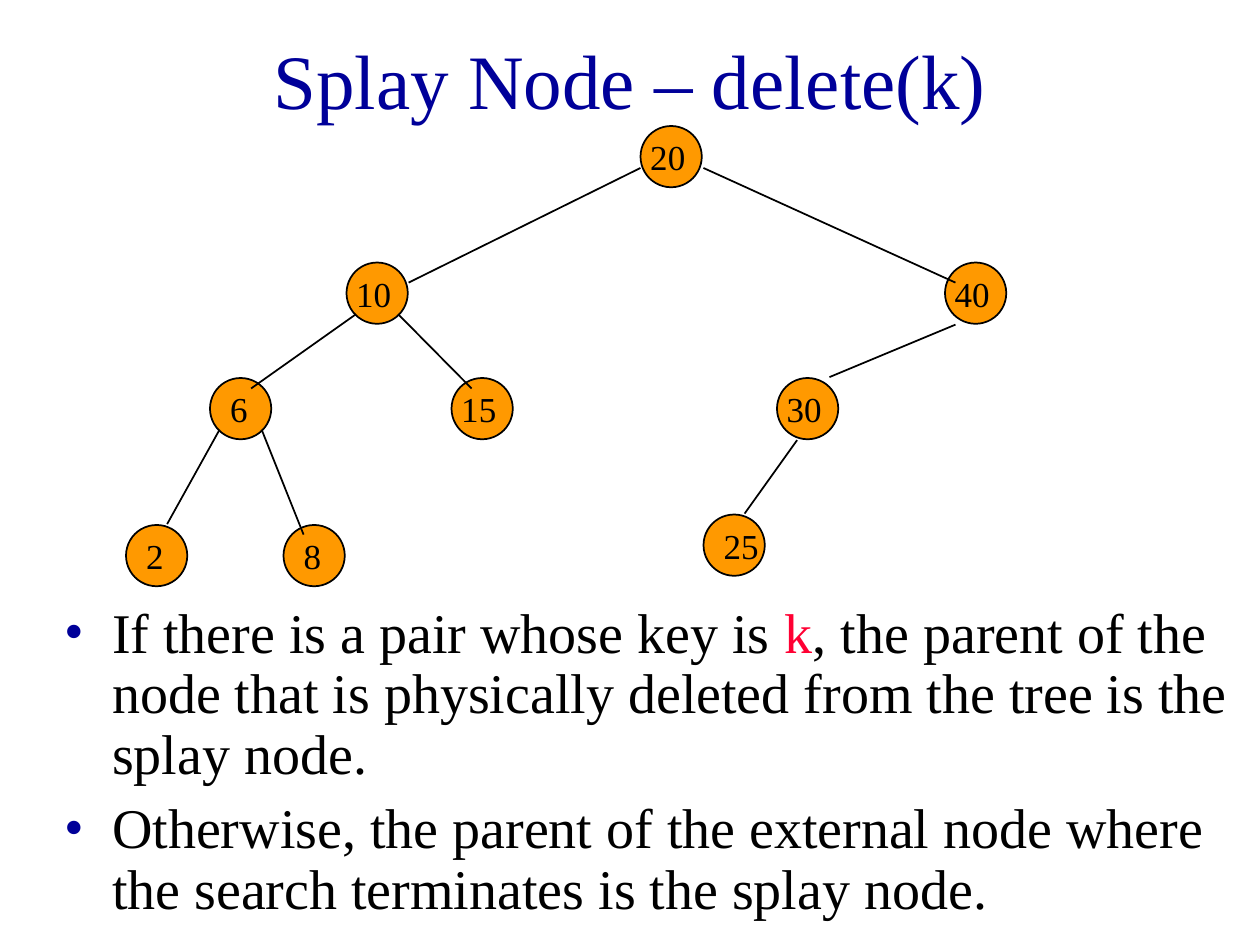
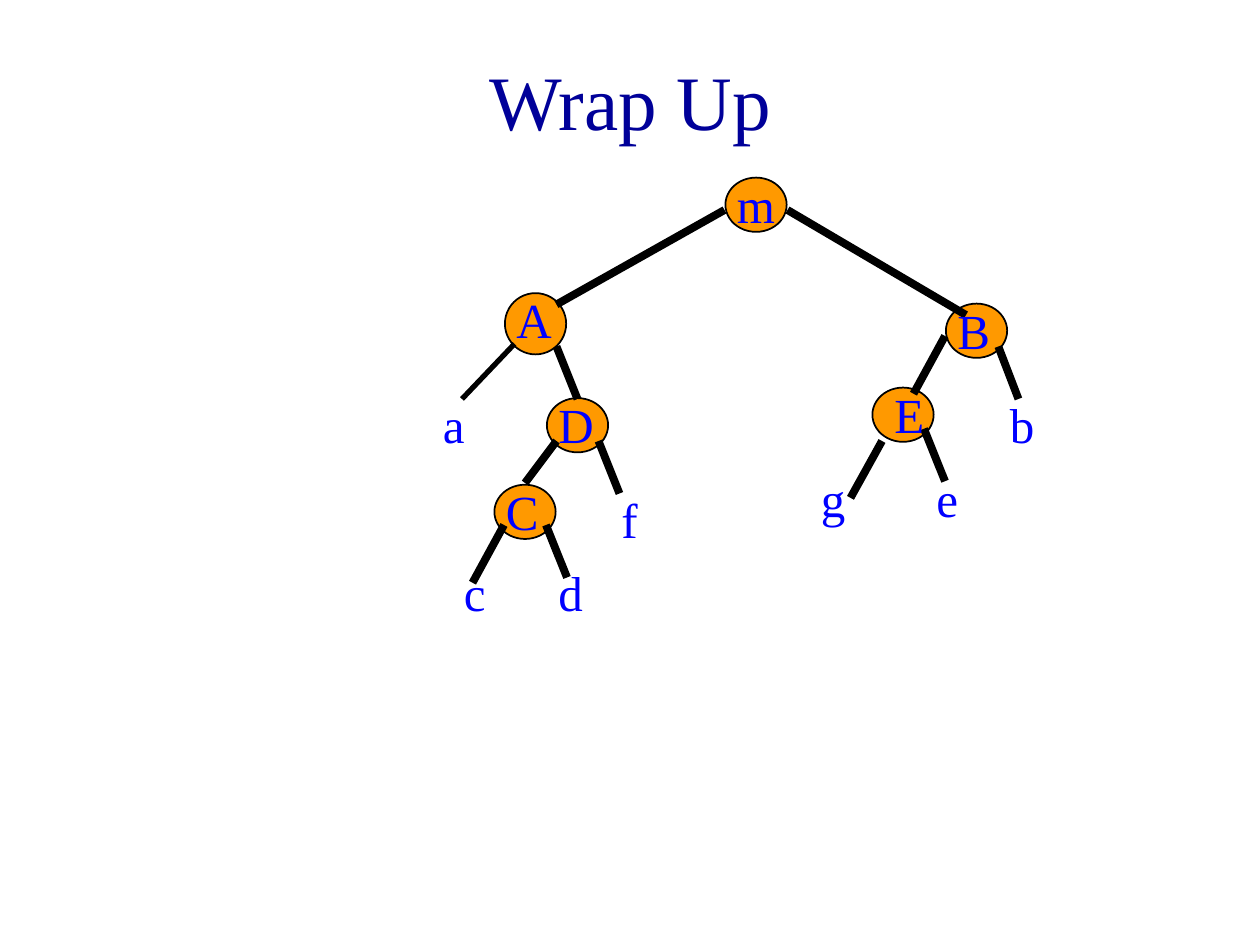
import dataclasses

import lxml.etree
import pptx
import pptx.dml.color
import pptx.enum.shapes
import pptx.enum.text
import pptx.oxml.ns
import pptx.util

Pt = pptx.util.Pt
qn = pptx.oxml.ns.qn


@dataclasses.dataclass(frozen=True)
class Theme:
    font: str = "Times New Roman"
    navy: str = "000099"
    black: str = "000000"
    red: str = "FF0033"
    blue: str = "0000FF"
    gold: str = "FF9900"
    title: int = 44
    body: int = 32
    key: int = 20
    name: int = 28


@dataclasses.dataclass(frozen=True)
class Look:
    size: int
    color: str
    edge: float
    dot: tuple
    tag: tuple


THEME = Theme()
KEYS = Look(THEME.key, THEME.black, 1, (0, 0), (-1.5, 2))
NAMES = Look(THEME.name, THEME.blue, 4.5, (0.5, 5.5), (0, 0))
WIDE, TALL, FLAT, LEAF = 35, 35, 31, 0
SHIFT = 6

KEY_NODES = [
    ("20", 294, 0, TALL, 0),
    ("10", 126, 78, TALL, 0),
    ("40", 468, 78, TALL, 0),
    ("6", 48, 144, TALL, SHIFT),
    ("15", 186, 144, TALL, 0),
    ("30", 372, 144, TALL, 0),
    ("2", 0, 228, TALL, SHIFT),
    ("8", 90, 228, TALL, SHIFT),
    ("25", 330, 222, TALL, SHIFT),
]
KEY_EDGES = [
    (294, 24, 161.5, 89.5),
    (330, 24, 474, 89.5),
    (131.5, 107.5, 71.5, 150),
    (155.5, 107.5, 197.5, 150),
    (474, 113.5, 402, 143.5),
    (53.5, 173.5, 23.5, 227.5),
    (77.5, 173.5, 101.5, 233.5),
    (383.5, 179.5, 353.5, 221.5),
]
NAME_NODES = [
    ("m", 168, 0, FLAT, 0),
    ("A", 42, 66, TALL, 0),
    ("B", 294, 72, FLAT, 0),
    ("D", 66, 126, FLAT, 0),
    ("E", 252, 120, FLAT, SHIFT),
    ("C", 36, 175.5, FLAT, 0),
    ("a", 0, 126, LEAF, 0),
    ("b", 324, 126, LEAF, 0),
    ("c", 12, 222, LEAF, 0),
    ("d", 66, 222, LEAF, 0),
    ("e", 282, 168, LEAF, 0),
    ("f", 102, 180, LEAF, 0),
    ("g", 216, 168, LEAF, 0),
]
NAME_EDGES = [
    (168, 24, 72, 78),
    (204, 24, 306, 84),
    (72, 102, 84, 132),
    (72, 156, 54, 180),
    (96, 156, 108, 186),
    (42, 204, 24, 237),
    (66, 204, 78, 234),
    (294, 96, 276, 129),
    (324.5, 102, 336, 132),
    (258, 156, 240, 188.5),
    (282, 149, 294, 179),
]
THIN_EDGE = [(48, 100.5, 18, 132)]
POINTS = [
    [
        ("If there is a pair whose key is ", THEME.black),
        ("k", THEME.red),
        (", the parent of the node that is physically deleted from the tree "
         "is the splay node.", THEME.black),
    ],
    [
        ("Otherwise, the parent of the external node where the search "
         "terminates is the splay node.", THEME.black),
    ],
]


def rgb(code):
    return pptx.dml.color.RGBColor.from_string(code)


def add_run(para, text, size, color):
    run = para.add_run()
    run.text = text
    run.font.name = THEME.font
    run.font.size = Pt(size)
    run.font.color.rgb = rgb(color)


def add_box(slide, left, top, width, height):
    box = slide.shapes.add_textbox(Pt(left), Pt(top), Pt(width), Pt(height))
    box.text_frame.word_wrap = True
    return box.text_frame


def add_title(slide, text, top):
    title = slide.shapes.title
    title.left, title.top = Pt(54), Pt(top)
    title.width, title.height = Pt(612), Pt(90)
    frame = title.text_frame
    frame.vertical_anchor = pptx.enum.text.MSO_ANCHOR.MIDDLE
    para = frame.paragraphs[0]
    para.alignment = pptx.enum.text.PP_ALIGN.CENTER
    add_run(para, text, THEME.title, THEME.navy)


def add_dot(slide, left, top, height):
    oval = pptx.enum.shapes.MSO_SHAPE.OVAL
    dot = slide.shapes.add_shape(oval, Pt(left), Pt(top), Pt(WIDE), Pt(height))
    dot.shadow.inherit = False
    dot.fill.solid()
    dot.fill.fore_color.rgb = rgb(THEME.gold)
    dot.line.color.rgb = rgb(THEME.black)
    dot.line.width = Pt(1)


def add_edges(slide, left, top, edges, width):
    kind = pptx.enum.shapes.MSO_CONNECTOR.STRAIGHT
    for x1, y1, x2, y2 in edges:
        line = slide.shapes.add_connector(
            kind, Pt(left + x1), Pt(top + y1), Pt(left + x2), Pt(top + y2))
        line.line.color.rgb = rgb(THEME.black)
        line.line.width = Pt(width)
        lxml.etree.SubElement(line._element.spPr, qn("a:effectLst"))


def add_tree(slide, left, top, nodes, edges, look, thin=()):
    for text, x, y, height, shift in nodes:
        if height:
            add_dot(slide, left + x + look.dot[0], top + y + look.dot[1], height)
    add_edges(slide, left, top, edges, look.edge)
    add_edges(slide, left, top, thin, 3)
    for text, x, y, height, shift in nodes:
        frame = add_box(slide, left + x + look.tag[0] + shift,
                        top + y + look.tag[1], 36, look.size * 1.15 + 8)
        add_run(frame.paragraphs[0], text, look.size, look.color)


def add_bullet(para):
    props = para._p.get_or_add_pPr()
    props.set("marL", str(Pt(27)))
    props.set("indent", str(Pt(-27)))
    tint = lxml.etree.SubElement(props, qn("a:buClr"))
    lxml.etree.SubElement(tint, qn("a:srgbClr"), val=THEME.navy)
    lxml.etree.SubElement(props, qn("a:buFont"), typeface=THEME.font)
    lxml.etree.SubElement(props, qn("a:buChar"), char="•")


def add_points(slide, left, top, width, height):
    frame = add_box(slide, left, top, width, height)
    for index, parts in enumerate(POINTS):
        para = frame.add_paragraph() if index else frame.paragraphs[0]
        para.line_spacing = 0.9
        para.space_before = Pt(8)
        add_bullet(para)
        for text, color in parts:
            add_run(para, text, THEME.body, color)


def add_slide(deck, text, top):
    slide = deck.slides.add_slide(deck.slide_layouts[5])
    add_title(slide, text, top)
    return slide


def main():
    deck = pptx.Presentation()
    deck.slide_width, deck.slide_height = Pt(720), Pt(540)

    slide = add_slide(deck, "Splay Node – delete(k)", 0)
    add_points(slide, 30, 342, 690, 198)
    add_tree(slide, 72, 72, KEY_NODES, KEY_EDGES, KEYS)

    slide = add_slide(deck, "Wrap Up", 12)
    add_tree(slide, 246, 96, NAME_NODES, NAME_EDGES, NAMES, THIN_EDGE)

    deck.save("out.pptx")


if __name__ == "__main__":
    main()
